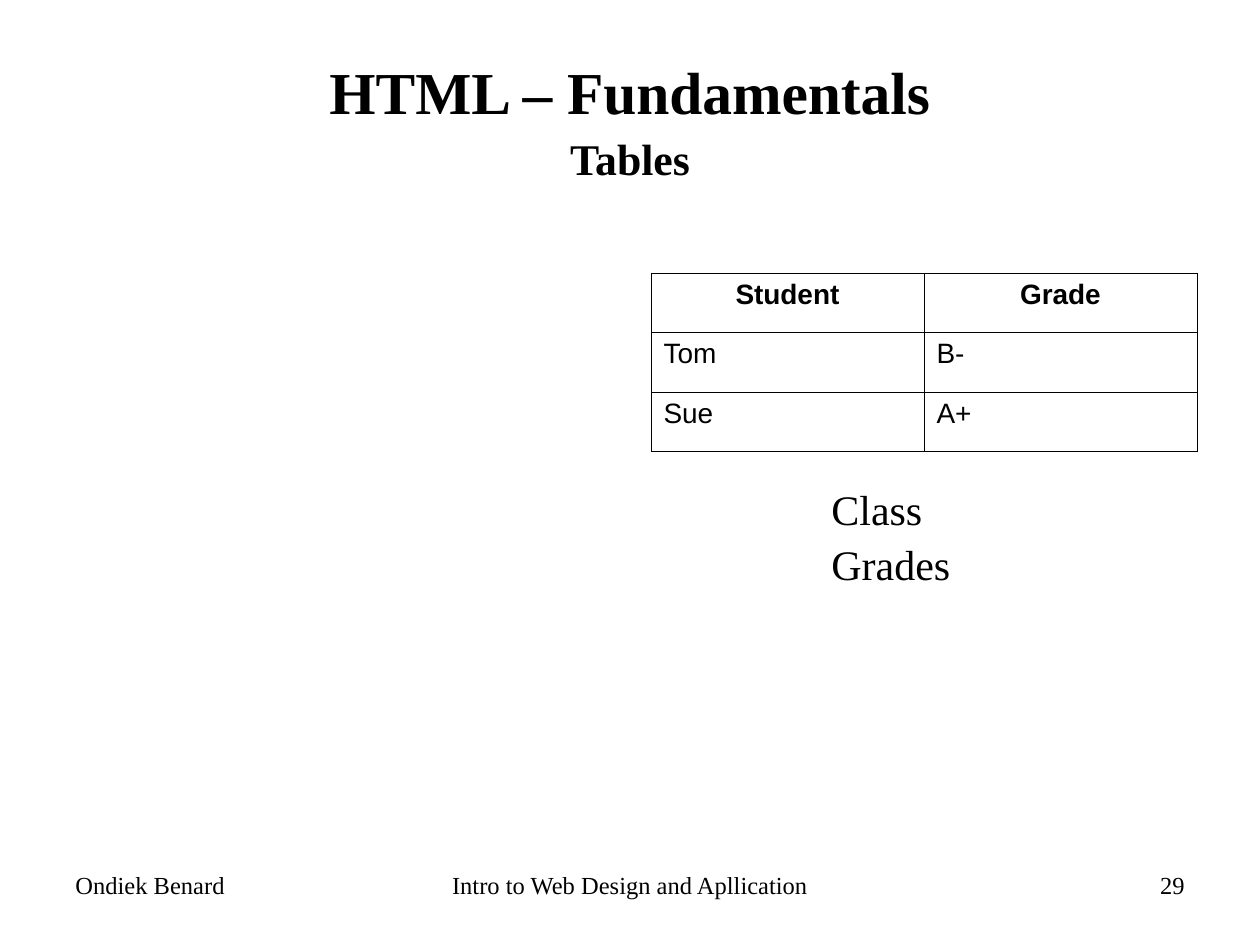
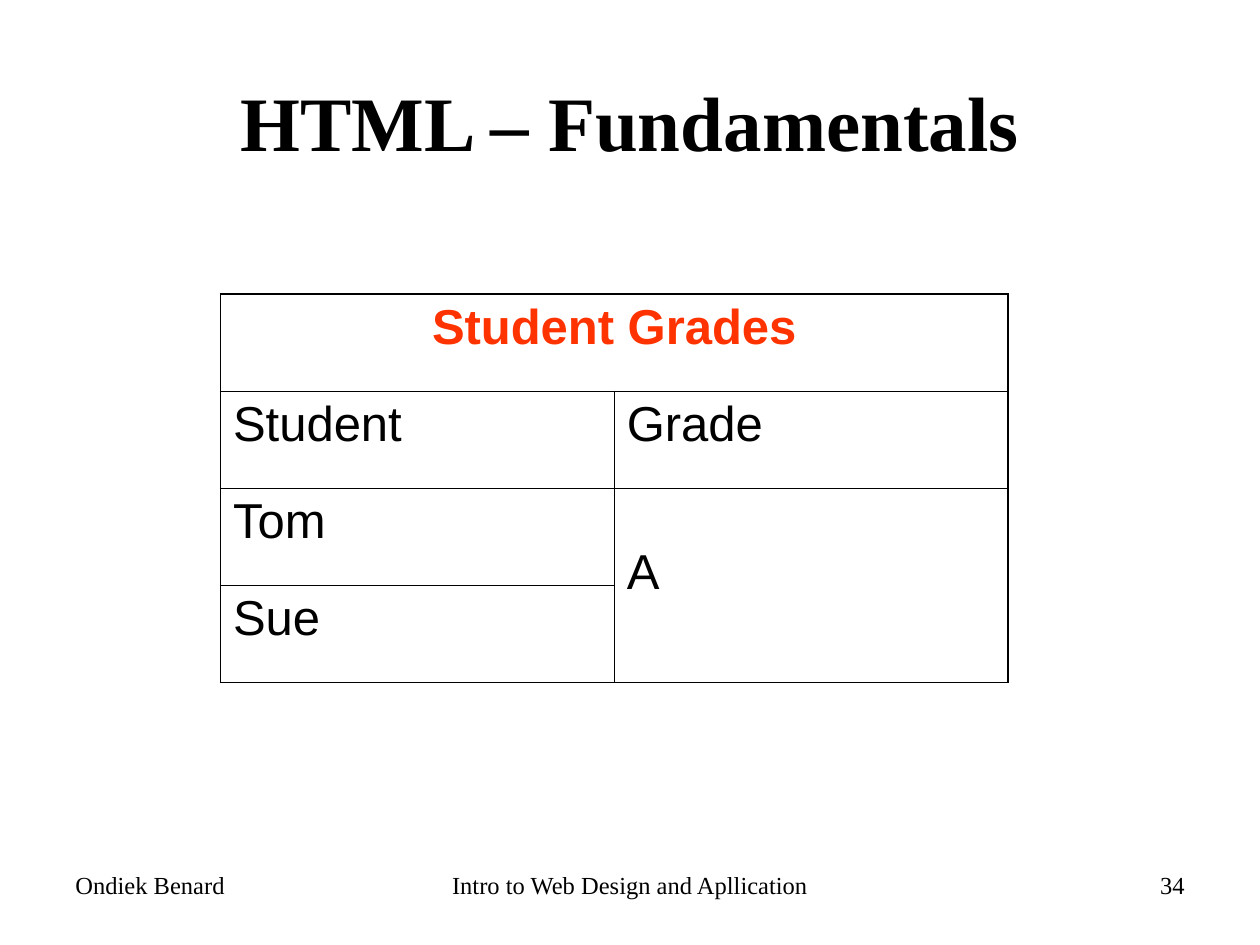
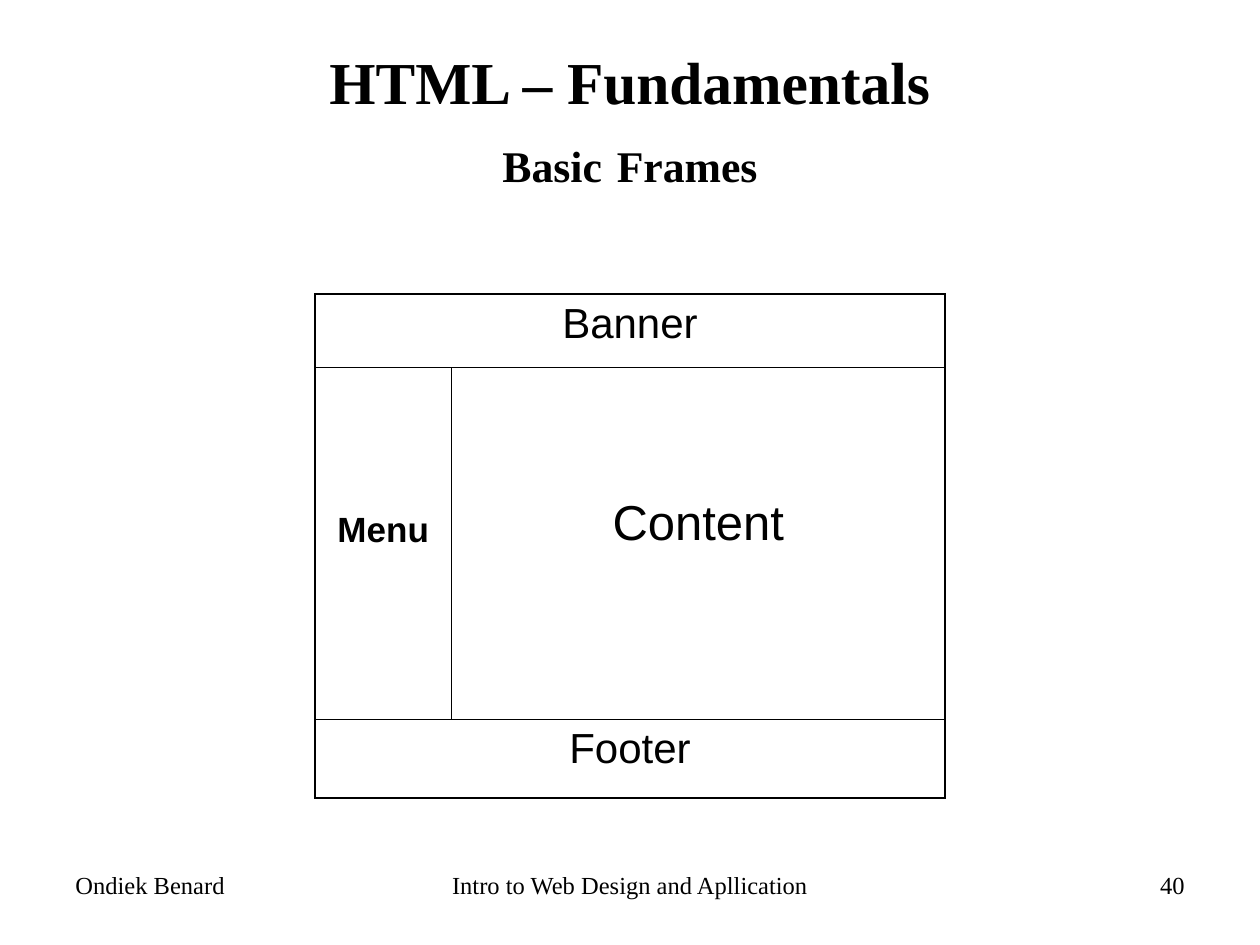
from dataclasses import dataclass
from lxml.etree import SubElement as Sub
from pptx import Presentation
from pptx.dml.color import RGBColor as Rgb
from pptx.enum.text import MSO_ANCHOR as Anchor, PP_ALIGN as Align
from pptx.oxml.ns import qn
from pptx.util import Inches, Pt


@dataclass(frozen=True)
class Theme:
    ink: str = "000000"
    red: str = "FF3300"
    serif: str = "Times New Roman"
    sans: str = "Arial"
    lead: float = 1.09
    foot: int = 14
    note: int = 24
    head: int = 34
    sub: int = 25
    large: int = 44
    hair: float = 0.23
    thin: float = 0.45
    thick: float = 1.08


look = Theme()
deck = Presentation()
deck.slide_width, deck.slide_height = Inches(10), Inches(7.5)
unit = deck.slide_width / 120


def write(para, text, size, font=look.serif, bold=False, tint=look.ink):
    run = para.add_run()
    run.text = text
    run.font.color.rgb = Rgb.from_string(tint)
    for key, val in {"size": Pt(size), "name": font, "bold": bold}.items():
        setattr(run.font, key, val)


def place(slide, spot, align, **form):
    frame = slide.shapes.add_textbox(*[int(n * unit) for n in spot]).text_frame
    for key, val in {"word_wrap": True, **form}.items():
        setattr(frame, key, val)
    para = frame.paragraphs[0]
    para.alignment = align
    para.line_spacing = look.lead
    return para


left, mid, right = Align.LEFT, Align.CENTER, Align.RIGHT
pages = [
    {
        "num": "29", "head": look.head, "sub": [("Tables", look.sub)],
        "at": (62, 26), "cols": [26] * 2, "rows": [17 / 3] * 3,
        "edge": look.hair, "line": look.hair, "size": 16, "spans": [],
        "cells": {
            (0, 0): ("Student", {"align": mid, "bold": True}),
            (0, 1): ("Grade", {"align": mid, "bold": True}),
            (1, 0): ("Tom", {}), (1, 1): ("B-", {}),
            (2, 0): ("Sue", {}), (2, 1): ("A+", {}),
        },
    },
    {
        "num": "34", "head": look.large, "sub": [],
        "at": (21, 28), "cols": [37.5] * 2, "rows": [37 / 4] * 4,
        "edge": look.thick, "line": look.thin, "size": 28,
        "spans": [(0, 0, 0, 1), (2, 1, 3, 1)],
        "cells": {
            (0, 0): ("Student Grades", {"align": mid, "bold": True, "tint": look.red}),
            (1, 0): ("Student", {}), (1, 1): ("Grade", {}),
            (2, 0): ("Tom", {}), (2, 1): ("A", {"top": 0.45}),
            (3, 0): ("Sue", {}),
        },
    },
    {
        "num": "40", "head": look.head,
        "sub": [("Basic", look.sub), (" ", look.head), ("Frames", look.sub)],
        "at": (30, 28), "cols": [13, 47], "rows": [7, 33.5, 7.5],
        "edge": look.thick, "line": look.thin, "size": 24,
        "spans": [(0, 0, 0, 1), (2, 0, 2, 1)],
        "cells": {
            (0, 0): ("Banner", {"align": mid}),
            (1, 0): ("Menu", {"align": mid, "size": 20, "bold": True, "top": 1.14}),
            (1, 1): ("Content", {"align": mid, "size": 28, "top": 1.02}),
            (2, 0): ("Footer", {"align": mid}),
        },
    },
]

for page in pages:
    slide = deck.slides.add_slide(deck.slide_layouts[6])

    title = place(slide, (6, 3.6, 108, 15), mid, vertical_anchor=Anchor.MIDDLE)
    write(title, "HTML – Fundamentals", page["head"], bold=True)
    if page["sub"]:
        title.add_line_break()
    for text, size in page["sub"]:
        write(title, text, size, bold=True)

    rows, cols = page["rows"], page["cols"]
    spot = [int(n * unit) for n in (*page["at"], sum(cols), sum(rows))]
    grid = slide.shapes.add_table(len(rows), len(cols), *spot).table
    grid.first_row = grid.horz_banding = False
    for col, wide in zip(grid.columns, cols):
        col.width = int(wide * unit)
    for row, high in zip(grid.rows, rows):
        row.height = int(high * unit)
    for top, start, low, end in page["spans"]:
        grid.cell(top, start).merge(grid.cell(low, end))

    for (r, c), (text, form) in page["cells"].items():
        cell = grid.cell(r, c)
        form = {"size": page["size"], "font": look.sans, **form}
        cell.margin_top = Inches(form.pop("top", 0.05))
        para = cell.text_frame.paragraphs[0]
        para.alignment = form.pop("align", left)
        write(para, text, **form)
        props = cell._tc.get_or_add_tcPr()
        outer = {
            "a:lnL": c == 0,
            "a:lnR": c + cell.span_width >= len(cols),
            "a:lnT": r == 0,
            "a:lnB": r + cell.span_height >= len(rows),
        }
        for tag, rim in outer.items():
            width = page["edge"] if rim else page["line"]
            line = Sub(props, qn(tag), w=str(int(Pt(width))))
            Sub(Sub(line, qn("a:solidFill")), qn("a:srgbClr"), val=look.ink)
        cell.fill.background()

    feet = [
        ("Ondiek Benard", 6, 28, left),
        ("Intro to Web Design and Apllication", 41, 38, mid),
        (page["num"], 86, 28, right),
    ]
    for text, x, wide, align in feet:
        write(place(slide, (x, 82, wide, 6), align), text, look.foot)

note = place(deck.slides[0], (78, 45, 22, 10.8), left)
write(note, "Class Grades", look.note)

deck.save("out.pptx")
